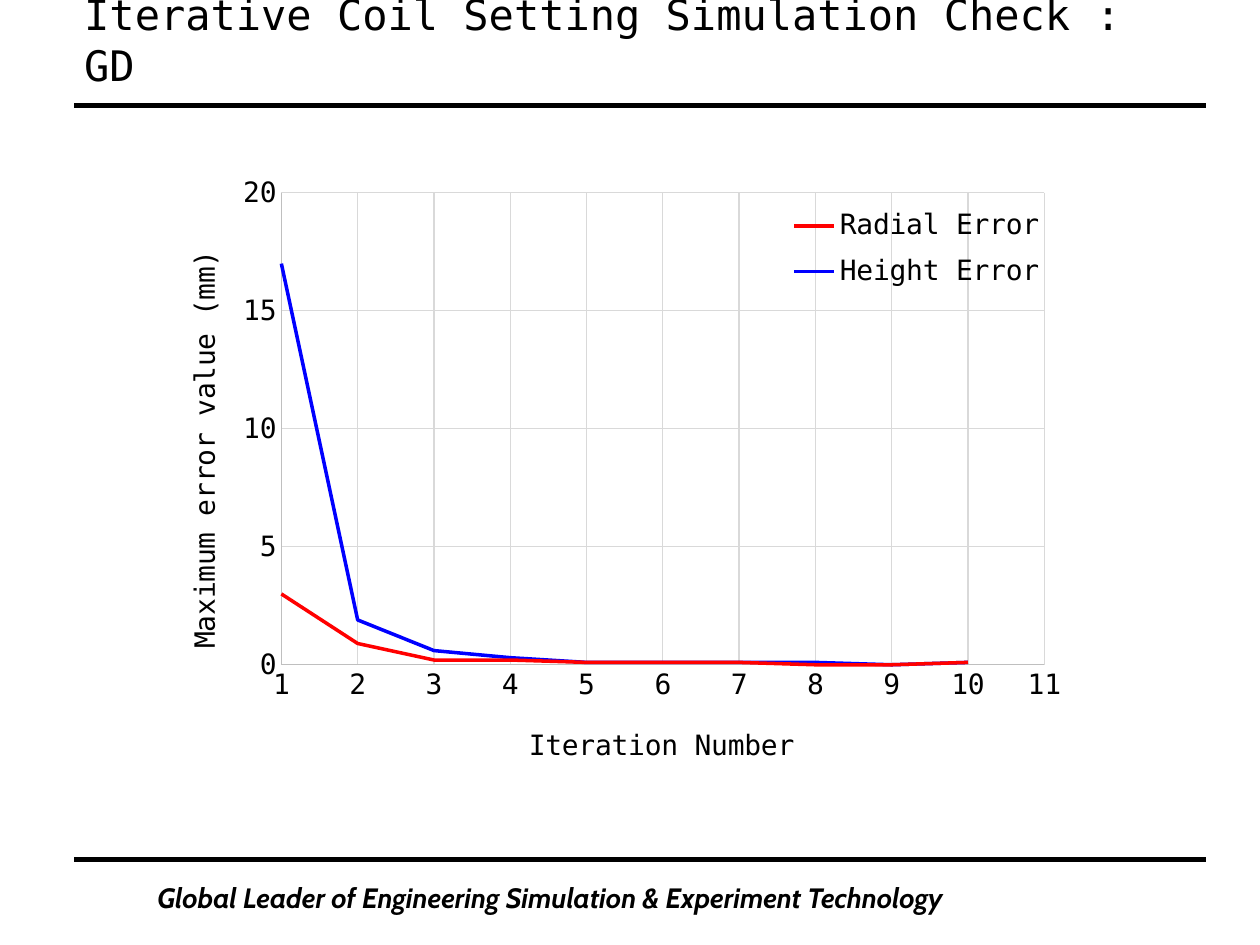
from dataclasses import dataclass

from lxml.etree import SubElement
from pptx import Presentation
from pptx.chart.data import XyChartData
from pptx.dml.color import RGBColor
from pptx.enum.chart import XL_CHART_TYPE, XL_LEGEND_POSITION, XL_TICK_MARK
from pptx.enum.shapes import MSO_CONNECTOR
from pptx.enum.text import MSO_ANCHOR
from pptx.oxml import parse_xml
from pptx.oxml.ns import nsdecls, qn
from pptx.util import Inches, Pt


@dataclass(frozen=True)
class Theme:
    ink: str = "000000"
    grid: str = "D9D9D9"
    axis: str = "BFBFBF"
    radial: str = "FF0000"
    height: str = "0000FF"
    mono: str = "DejaVu Sans Mono"
    slogan: str = "Cabin"
    title_size: int = 24
    body_size: int = 16
    rule_width: float = 3
    series_width: float = 2
    hairline: float = 0.75


THEME = Theme()

ERRORS = {
    "Radial Error": (THEME.radial, [3, 0.9, 0.2, 0.2, 0.1, 0.1, 0.1, 0, 0, 0.1]),
    "Height Error": (THEME.height, [17, 1.9, 0.6, 0.3, 0.1, 0.1, 0.1, 0.1, 0, 0.1]),
}


def apply(target, values):
    for name, value in values.items():
        setattr(target, name, value)


def style_font(font, size=THEME.body_size, name=THEME.mono, bold=False, italic=False):
    apply(font, {"size": Pt(size), "name": name, "bold": bold, "italic": italic})
    font.color.rgb = RGBColor.from_string(THEME.ink)


def style_line(line, color, width):
    line.color.rgb = RGBColor.from_string(color)
    line.width = Pt(width)


def add_rule(page, top):
    rule = page.shapes.add_connector(
        MSO_CONNECTOR.STRAIGHT, Inches(0.59), Inches(top), Inches(9.57), Inches(top)
    )
    style_line(rule.line, THEME.ink, THEME.rule_width)
    SubElement(rule._element.spPr, qn("a:effectLst"))


def add_text(page, bounds, text, anchor, **font_values):
    box = page.shapes.add_textbox(*map(Inches, bounds))
    apply(box.text_frame, {"word_wrap": True, "vertical_anchor": anchor})
    span = box.text_frame.paragraphs[0].add_run()
    span.text = text
    style_font(span.font, **font_values)


def place_part(part, index, inner=False, **fractions):
    """Fix a chart part's place, in fractions of the chart, at a child index."""
    for old in part.findall(qn("c:layout")):
        part.remove(old)
    layout = parse_xml(f"<c:layout {nsdecls('c')}><c:manualLayout/></c:layout>")
    manual = layout[0]
    settings = {"layoutTarget": "inner"} if inner else {}
    settings |= {"xMode": "edge", "yMode": "edge"} | fractions
    for tag, value in settings.items():
        SubElement(manual, qn(f"c:{tag}")).set("val", str(value))
    part.insert(index, layout)


def style_axis(axis, title, limits, rotation, **place):
    minimum, maximum, step = limits
    apply(axis, {
        "minimum_scale": minimum,
        "maximum_scale": maximum,
        "major_unit": step,
        "has_major_gridlines": True,
        "major_tick_mark": XL_TICK_MARK.NONE,
        "minor_tick_mark": XL_TICK_MARK.NONE,
    })
    apply(axis.tick_labels, {"number_format": "General", "number_format_is_linked": False})
    style_font(axis.tick_labels.font)
    style_line(axis.format.line, THEME.axis, THEME.hairline)
    style_line(axis.major_gridlines.format.line, THEME.grid, THEME.hairline)

    frame = axis.axis_title.text_frame
    span = frame.paragraphs[0].add_run()
    span.text = title
    style_font(span.font)
    title_element = axis.axis_title._element
    body = title_element.find(".//" + qn("a:bodyPr"))
    body.set("rot", str(rotation * 60000))
    body.set("vert", "horz")
    place_part(title_element, 1, **place)


def add_error_chart(page):
    data = XyChartData()
    for name, (_, values) in ERRORS.items():
        series = data.add_series(name)
        for iteration, value in enumerate(values, start=1):
            series.add_data_point(iteration, value)
    chart = page.shapes.add_chart(
        XL_CHART_TYPE.XY_SCATTER_SMOOTH_NO_MARKERS,
        *map(Inches, (1.22, 1.31, 7.34, 4.91)), data,
    ).chart
    apply(chart, {"has_title": False, "has_legend": True})
    style_font(chart.font)
    chart.plots[0].vary_by_categories = False
    for series, (color, _) in zip(chart.plots[0].series, ERRORS.values()):
        series.smooth = True
        style_line(series.format.line, color, THEME.series_width)

    style_axis(chart.category_axis, "Iteration Number", (1, 11, 1), 0, x=0.4, y=0.9)
    style_axis(chart.value_axis, "Maximum error value (mm)", (0, 20, 5), -90, x=0.03, y=0.13)
    apply(chart.legend, {"position": XL_LEGEND_POSITION.CORNER, "include_in_layout": True})
    style_font(chart.legend.font)
    place_part(chart.legend._element, 1, x=0.68, y=0.05, w=0.29, h=0.17)
    plot_area = chart._chartSpace.find(".//" + qn("c:plotArea"))
    place_part(plot_area, 0, inner=True, x=0.138, y=0.045, w=0.825, h=0.763)


def main():
    deck = Presentation()
    apply(deck, {"slide_width": Inches(10), "slide_height": Inches(7.5)})
    page = deck.slides.add_slide(deck.slide_layouts[6])
    for top in (0.84, 6.82):
        add_rule(page, top)
    add_text(page, (1.15, 6.94, 7, 0.37),
             "Global Leader of Engineering Simulation & Experiment Technology",
             MSO_ANCHOR.TOP, name=THEME.slogan, bold=True, italic=True)
    add_text(page, (0.57, 0.15, 8.99, 0.61),
             "Iterative Coil Setting Simulation Check : GD",
             MSO_ANCHOR.BOTTOM, size=THEME.title_size)
    add_error_chart(page)
    deck.save("out.pptx")


if __name__ == "__main__":
    main()
